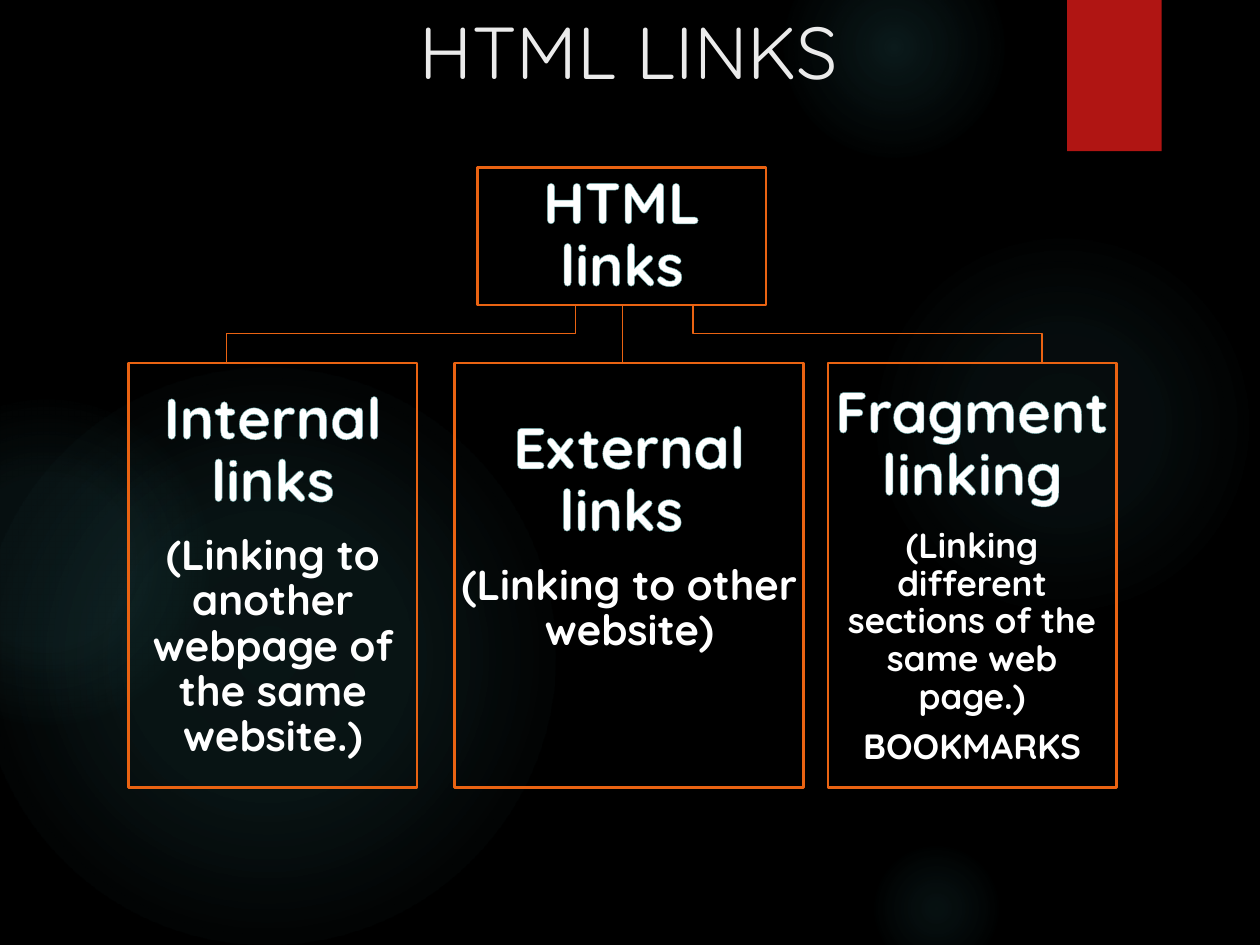
from dataclasses import dataclass
from lxml.etree import SubElement
from pptx import Presentation
from pptx.dml.color import RGBColor
from pptx.enum.shapes import MSO_CONNECTOR, MSO_SHAPE
from pptx.enum.text import MSO_ANCHOR, PP_ALIGN
from pptx.oxml import parse_xml
from pptx.oxml.ns import nsdecls, qn
from pptx.util import Inches, Pt


@dataclass(frozen=True)
class Theme:
    font: str = "Quicksand"
    back: str = "000000"
    glow: str = "50B9C1"
    flag: str = "B01513"
    line: str = "EA6312"
    edge: str = "5F9C9D"
    title: str = "EBEBEB"
    text: str = "FFFFFF"
    big: int = 42
    mid: int = 33
    note: int = 24
    small: int = 20
    thin: float = 0.75
    thick: float = 1.5


theme = Theme()
color = RGBColor.from_string
ns = nsdecls("a")


def add_run(para, text, size, tint, bold=False):
    """Add one run to a centred paragraph and return it."""
    para.alignment = PP_ALIGN.CENTER
    run = para.add_run()
    run.text = text
    run.font.name, run.font.size, run.font.bold = theme.font, Pt(size), bold
    run.font.color.rgb = color(tint)
    return run


def draw_line(shape, width):
    """Give a shape or connector the orange line."""
    shape.line.color.rgb = color(theme.line)
    shape.line.width = Pt(width)


deck = Presentation()
deck.slide_width, deck.slide_height = Inches(10), Inches(7.5)
slide = deck.slides.add_slide(deck.slide_layouts[5])
shapes = slide.shapes
slide.background.fill.solid()
slide.background.fill.fore_color.rgb = color(theme.back)

# Glows: left, top, size, then (position, opacity) stops in percent
glows = [
    (6.89, 1.83, 3.08, [(0, 7), (36, 6), (69, 0)]),
    (6.22, -0.5, 1.75, [(0, 14), (36, 7), (73, 0)]),
    (6.89, 6.67, 1.08, [(0, 9), (36, 5), (66, 0)]),
    (-0.17, 2.92, 4.58, [(0, 11), (36, 10), (75, 0)]),
    (-0.92, 3.17, 2.58, [(0, 8), (36, 8), (72, 0)]),
]
for left, top, size, stops in glows:
    glow = shapes.add_shape(
        MSO_SHAPE.OVAL, Inches(left), Inches(top), Inches(size), Inches(size))
    marks = "".join(
        f'<a:gs pos="{pos * 1000}"><a:srgbClr val="{theme.glow}">'
        f'<a:alpha val="{alpha * 1000}"/></a:srgbClr></a:gs>' for pos, alpha in stops)
    glow.element.spPr.insert(2, parse_xml(
        f'<a:gradFill {ns}><a:gsLst>{marks}</a:gsLst><a:path path="circle">'
        '<a:fillToRect l="50000" t="50000" r="50000" b="50000"/></a:path></a:gradFill>'))
    glow.line.fill.background()
    glow.shadow.inherit = False

# Red flag with a soft shadow
flag = shapes.add_shape(
    MSO_SHAPE.RECTANGLE, Inches(8.47), Inches(0), Inches(0.75), Inches(1.2))
flag.fill.solid()
flag.fill.fore_color.rgb = color(theme.flag)
flag.line.fill.background()
flag.element.spPr.append(parse_xml(
    f'<a:effectLst {ns}><a:outerShdw blurRad="38100" dist="25400" dir="5400000">'
    '<a:srgbClr val="000000"><a:alpha val="45000"/></a:srgbClr>'
    '</a:outerShdw></a:effectLst>'))

# Title, moved in front of the glows
title = shapes.title
title.left, title.top = Inches(0.49), Inches(0)
title.width, title.height = Inches(9), Inches(1.25)
title.text_frame.vertical_anchor = MSO_ANCHOR.TOP
add_run(title.text_frame.paragraphs[0], "HTML LINKS", theme.big, theme.title)
shapes.element.append(title.element)

# Tree sizes: the root box stands above a row of three leaf boxes
root_top, root_high = 1.33, 1.09
root_end = root_top + root_high
leaf_top, leaf_high = 2.88, 3.37
turn = (root_end + leaf_top) / 2
slim, wide = 2.29, 2.77
stem_x, reach = 4.94, 2.77

# Elbows reach equally far to the left and right; the stem drops straight
for start_x, side in [(4.57, -1), (5.5, 1)]:
    leaf_x = start_x + side * reach
    points = [(start_x, turn), (leaf_x, turn), (leaf_x, leaf_top)]
    pen = shapes.build_freeform(Inches(start_x), Inches(root_end))
    pen.add_line_segments([(Inches(x), Inches(y)) for x, y in points], close=False)
    elbow = pen.convert_to_shape()
    elbow.fill.background()
    elbow.shadow.inherit = False
    draw_line(elbow, theme.thin)

stem = shapes.add_connector(
    MSO_CONNECTOR.STRAIGHT,
    Inches(stem_x), Inches(root_end), Inches(stem_x), Inches(leaf_top))
draw_line(stem, theme.thin)
SubElement(stem.element.spPr, qn("a:effectLst"))

# Boxes: left, top, width, height, lift of the text, heading, notes, note size
boxes = [
    (3.79, root_top, slim, root_high, 0, "HTML links", [], theme.note),
    (1.02, leaf_top, slim, leaf_high, 0, "Internal links",
     ["(Linking to another webpage of the same website.)"], theme.note),
    (3.61, leaf_top, wide, leaf_high, 0.61, "External links ",
     ["(Linking to other website)"], theme.note),
    (6.57, leaf_top, slim, leaf_high, 0, "Fragment linking",
     ["(Linking different sections of the same web page.)", "BOOKMARKS"], theme.small),
]
inset = 0.02
for left, top, width, height, lift, head, notes, size in boxes:
    box = shapes.add_shape(
        MSO_SHAPE.RECTANGLE, Inches(left), Inches(top), Inches(width), Inches(height))
    box.fill.background()
    box.shadow.inherit = False
    draw_line(box, theme.thick)

    frame = box.text_frame
    frame.word_wrap = True
    frame.vertical_anchor = MSO_ANCHOR.MIDDLE
    frame.margin_left = frame.margin_right = frame.margin_top = Inches(inset)
    frame.margin_bottom = Inches(inset + lift)

    run = add_run(frame.paragraphs[0], head, theme.mid, theme.text, True)
    run.font._element.insert(0, parse_xml(
        f'<a:ln {ns} w="{Pt(0.8)}"><a:solidFill>'
        f'<a:srgbClr val="{theme.edge}"/></a:solidFill></a:ln>'))
    for note in notes:
        add_run(frame.add_paragraph(), note, size, theme.text, True)
    for para in frame.paragraphs:
        para.line_spacing = 0.9
        para.space_after = Pt(0.35 * para.runs[0].font.size.pt)

deck.save("out.pptx")
